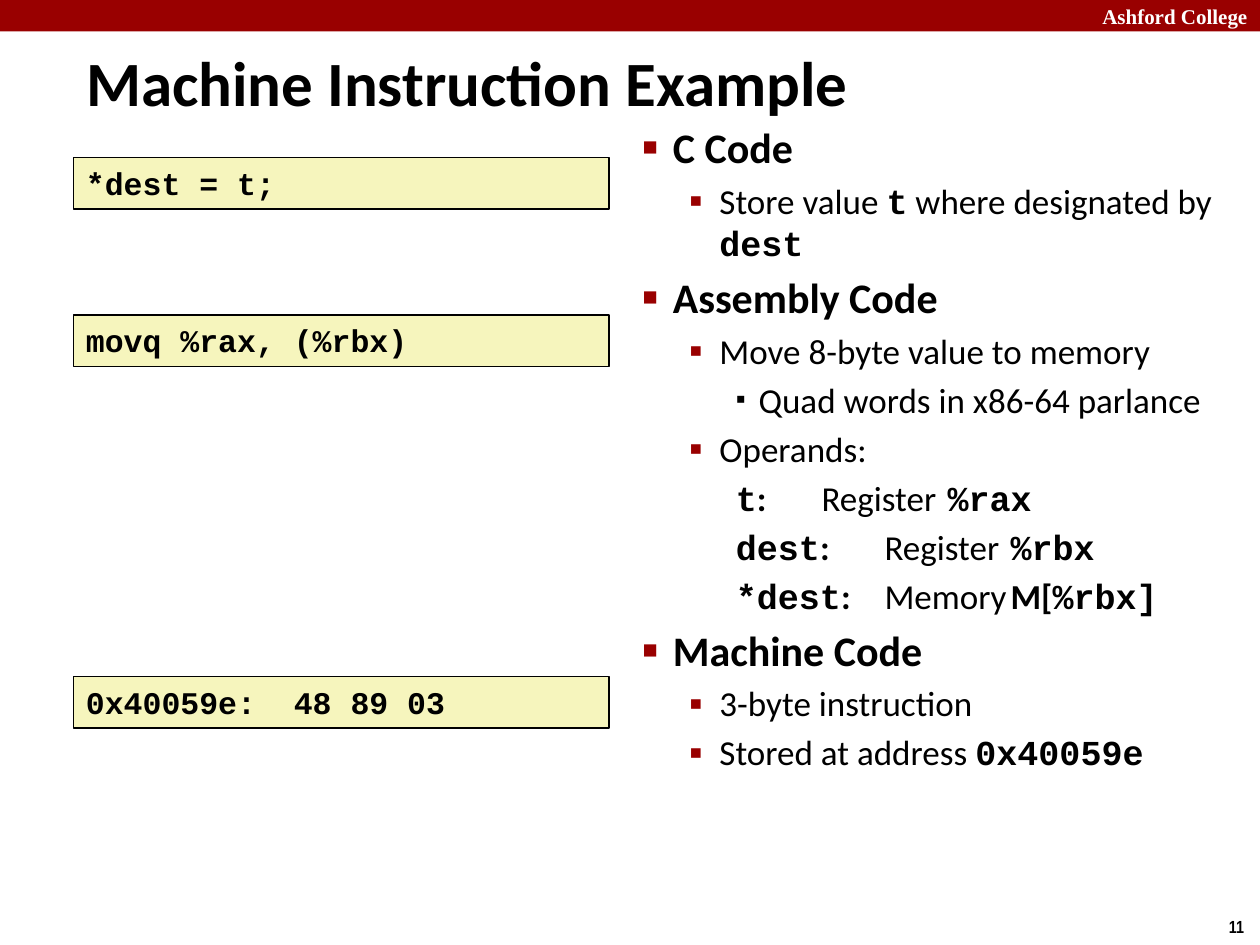
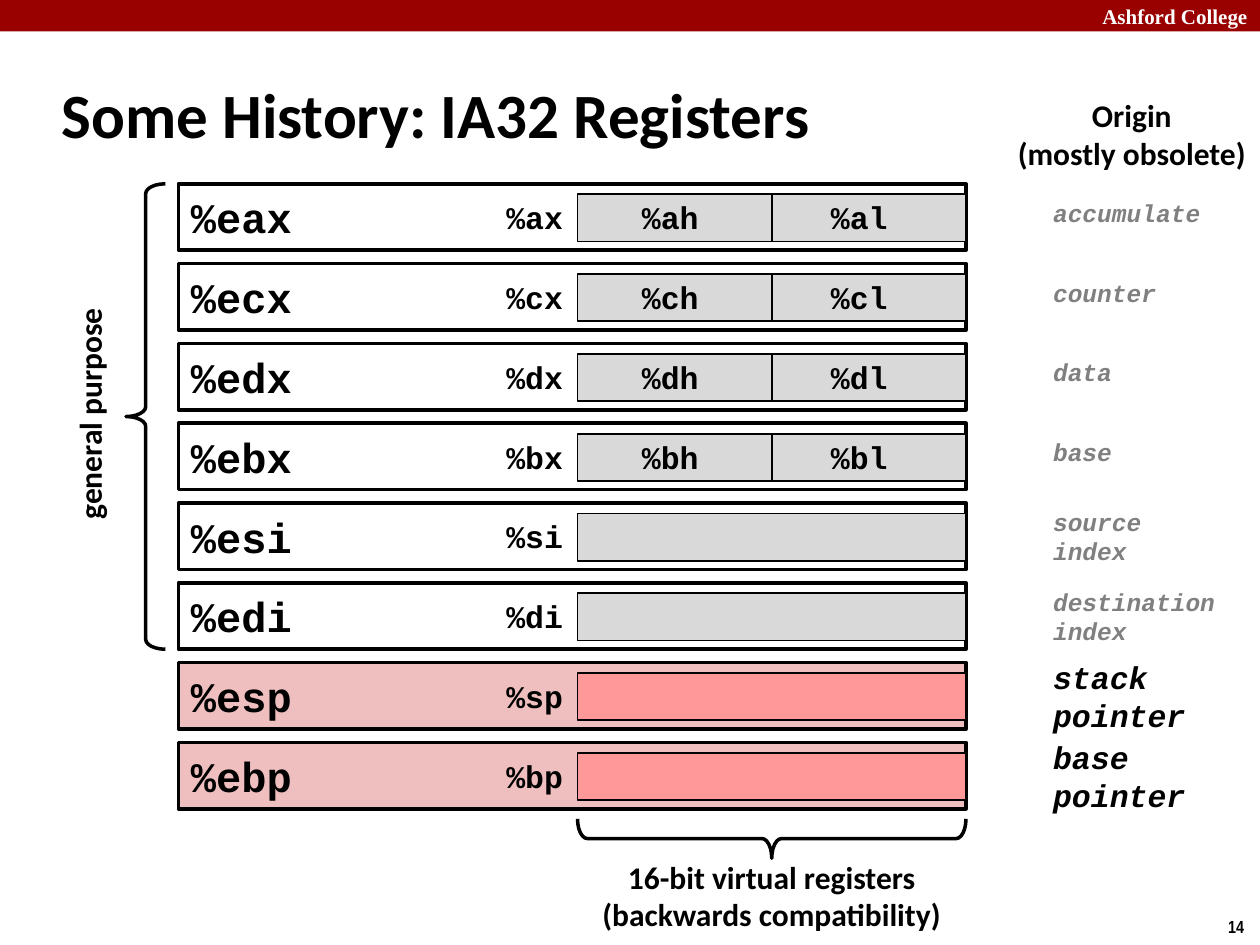
from collections import namedtuple

from lxml.etree import SubElement
from pptx import Presentation
from pptx.dml.color import RGBColor
from pptx.enum.shapes import MSO_CONNECTOR as LINE, MSO_SHAPE as SHAPE
from pptx.enum.text import MSO_ANCHOR as ANCHOR, MSO_AUTO_SIZE as FIT, PP_ALIGN as ALIGN
from pptx.oxml.ns import qn
from pptx.util import Pt

COLORS = {
    "band": "990000", "paper": "FFFFFF", "ink": "000000", "code": "F6F5BD",
    "half": "D9D9D9", "pointer": "EFBFBF", "pointer_half": "FF9999", "faded": "808080",
}
SANS, MONO, SERIF, NARROW = "Calibri", "Courier New", "Times New Roman", "Arial Narrow"
Box = namedtuple("Box", "left top width height")
Bullet = namedtuple("Bullet", "size margin hanging char scale color")
LEVELS = [
    Bullet(24, 17.28, 17.28, "■", 60, "band"),
    Bullet(20, 43.92, 17.28, "▪", 110, "band"),
    Bullet(20, 66.24, 12.96, "▪", 80, "ink"),
]
TAB_STOPS = [126, 198]

CODE_BOXES = [(0, "*dest = t;"), (90, "movq %rax, (%rbx)"), (296.6, "0x40059e:  48 89 03")]
NOTES = [
    (0, True, [("C Code", SANS, True)]),
    (1, True, [("Store value ", SANS, False), ("t", MONO, True),
               (" where designated by ", SANS, False), ("dest", MONO, True)]),
    (0, True, [("Assembly Code", SANS, True)]),
    (1, True, [("Move 8-byte value to memory", SANS, False)]),
    (2, True, [("Quad words in x86-64 parlance", SANS, False)]),
    (1, True, [("Operands:", SANS, False)]),
    (2, False, [("t", MONO, True), (":\t", SANS, True),
                ("Register\t", SANS, False), ("%rax", MONO, True)]),
    (2, False, [("dest", MONO, True), (":", SANS, True),
                ("\tRegister\t", SANS, False), ("%rbx", MONO, True)]),
    (2, False, [("*dest", MONO, True), (":", SANS, True),
                (" \tMemory\t", SANS, False), ("M[", SANS, True), ("%rbx]", MONO, True)]),
    (0, True, [("Machine Code", SANS, True)]),
    (1, True, [("3-byte instruction", SANS, False)]),
    (1, True, [("Stored at address ", SANS, False), ("0x40059e", MONO, True)]),
]
REGISTERS = [
    ("ax", "a", "accumulate"), ("cx", "c", "counter"), ("dx", "d", "data"),
    ("bx", "b", "base"), ("si", None, "source\nindex"), ("di", None, "destination\nindex"),
    ("sp", None, "stack\npointer"), ("bp", None, "base\npointer"),
]
POINTERS = ("sp", "bp")


def rgb(key):
    """Return the named colour."""
    return RGBColor.from_string(COLORS[key])


def place(part, box):
    """Move a shape to a box given in points."""
    part.left, part.top, part.width, part.height = map(Pt, box)


def style(font, size, name, color="ink", bold=True, italic=False):
    """Set the look of a font."""
    font.size, font.name, font.bold, font.italic = Pt(size), name, bold, italic
    font.color.rgb = rgb(color)


def write(frame, text, size, name, color="ink", align=ALIGN.LEFT, anchor=ANCHOR.MIDDLE,
          italic=False):
    """Fill a text frame, one paragraph per line."""
    frame.text = text
    frame.word_wrap, frame.auto_size, frame.vertical_anchor = True, FIT.NONE, anchor
    for paragraph in frame.paragraphs:
        paragraph.alignment = align
        style(paragraph.font, size, name, color, italic=italic)


def add_label(slide, box, text, size, name, **look):
    """Add a text box and return it."""
    label = slide.shapes.add_textbox(*map(Pt, box))
    write(label.text_frame, text, size, name, **look)
    return label


def add_box(slide, box, fill=None, weight=0, kind=SHAPE.RECTANGLE):
    """Add a flat preset shape with an optional fill and outline."""
    shape = slide.shapes.add_shape(kind, *map(Pt, box))
    shape.shadow.inherit = False
    if fill:
        shape.fill.solid()
        shape.fill.fore_color.rgb = rgb(fill)
    else:
        shape.fill.background()
    if weight:
        shape.line.color.rgb = rgb("ink")
        shape.line.width = Pt(weight)
    else:
        shape.line.fill.background()
    return shape


def add_brace(slide, box, rotation):
    """Add a curly brace turned by the given angle."""
    brace = add_box(slide, box, weight=2, kind=SHAPE.RIGHT_BRACE)
    brace.adjustments[0] = 0.25
    brace.rotation = rotation


def start_slide(deck, layout, title, title_box, number):
    """Add a slide with its band, title and number."""
    slide = deck.slides.add_slide(deck.slide_layouts[layout])
    add_box(slide, Box(0, 0, 720, 18), "band")
    add_label(slide, Box(580, 0, 140, 18), "Ashford College", 12, SERIF,
              color="paper", align=ALIGN.RIGHT)
    add_label(slide, Box(684, 520, 34, 19), number, 10, NARROW, align=ALIGN.RIGHT)
    place(slide.shapes.title, title_box)
    write(slide.shapes.title.text_frame, title, 36, SANS)
    return slide


def set_bullet(paragraph, level, marked):
    """Set indent, bullet and tab stops of a list paragraph."""
    props = paragraph._p.get_or_add_pPr()
    props.set("marL", str(Pt(level.margin)))
    props.set("indent", str(-Pt(level.hanging)))
    if marked:
        color = SubElement(props, qn("a:buClr"))
        SubElement(color, qn("a:srgbClr"), val=COLORS[level.color])
        SubElement(props, qn("a:buSzPct"), val=str(level.scale * 1000))
        SubElement(props, qn("a:buChar"), char=level.char)
    else:
        SubElement(props, qn("a:buNone"))
    tabs = SubElement(props, qn("a:tabLst"))
    for stop in TAB_STOPS:
        SubElement(tabs, qn("a:tab"), pos=str(Pt(stop)), algn="l")


def fill_notes(body, box):
    """Fill the body placeholder with the explanation list."""
    place(body, box)
    frame = body.text_frame
    frame.auto_size = FIT.NONE
    for index, (depth, marked, pieces) in enumerate(NOTES):
        paragraph = frame.add_paragraph() if index else frame.paragraphs[0]
        paragraph.level = depth
        set_bullet(paragraph, LEVELS[depth], marked)
        for text, name, bold in pieces:
            run = paragraph.add_run()
            run.text = text
            style(run.font, LEVELS[depth].size, name, bold=bold)


def add_code(slide, box):
    """Stack the code samples down the box."""
    for offset, code in CODE_BOXES:
        sample = add_box(slide, Box(box.left, box.top + offset, box.width, 29.5), "code", 1)
        write(sample.text_frame, code, 18, MONO, anchor=ANCHOR.TOP)


def add_register(slide, box, name, letter):
    """Draw one register with its 16-bit half and byte names."""
    pointer = name in POINTERS
    register = add_box(slide, box, "pointer" if pointer else "paper", 2)
    write(register.text_frame, "%e" + name, 24, MONO)
    half = Box(box.left + 228, box.top + 6, 222, 27)
    add_box(slide, half, "pointer_half" if pointer else "half", 1)
    names = [(203.5, name)]
    if letter:
        middle = half.left + half.width / 2
        divider = slide.shapes.add_connector(
            LINE.STRAIGHT, Pt(middle), Pt(half.top), Pt(middle), Pt(half.top + half.height))
        divider.line.color.rgb = rgb("ink")
        divider.line.width = Pt(1)
        SubElement(divider._element.spPr, qn("a:effectLst"))
        names += [(281, letter + "h"), (389, letter + "l")]
    for center, part in names:
        add_label(slide, Box(box.left + center - 30, box.top, 60, box.height), "%" + part,
                  18, MONO, align=ALIGN.CENTER)


def add_origin(slide, box, name, origin):
    """Write the historic meaning of a register beside its row."""
    look = (18, MONO) if name in POINTERS else (14, MONO)
    color = "ink" if name in POINTERS else "faded"
    lift = 0 if "\n" in origin else 2.5
    add_label(slide, Box(box.left, box.top - 7 - lift, box.width, box.height + 14), origin,
              *look, color=color, italic=True)


def add_registers(slide, box):
    """Draw the register rows, their origins, braces and captions."""
    pitch, height = 45.6, 38
    for row, (name, letter, origin) in enumerate(REGISTERS):
        top = box.top + row * pitch
        add_register(slide, Box(box.left, top, box.width, height), name, letter)
        add_origin(slide, Box(box.left + 492.7, top, 124, height), name, origin)
    general = 5 * pitch + height
    add_brace(slide, Box(box.left - 30, box.top, 22.5, general), 180)
    purpose = add_label(slide, Box(box.left - 126, box.top + 117, 150, 29), "general purpose",
                        18, SANS, align=ALIGN.CENTER)
    purpose.rotation = 270
    bottom = box.top + 7 * pitch + height
    add_brace(slide, Box(box.left + 327.75, bottom - 94, 22.5, 222), 90)
    for left, top, caption in [
        (226, bottom + 24, "16-bit virtual registers\n(backwards compatibility)"),
        (432, box.top - 54, "Origin\n(mostly obsolete)"),
    ]:
        add_label(slide, Box(box.left + left, top, 226 if left < 300 else 225.5, 51),
                  caption, 18, SANS, align=ALIGN.CENTER)


def build_instruction(deck):
    """Build the machine instruction slide."""
    slide = start_slide(deck, 1, "Machine Instruction Example", Box(42, 24, 572, 45), "11")
    fill_notes(slide.placeholders[1], Box(360, 66, 360, 456))
    add_code(slide, Box(42, 90, 306, 326))


def build_history(deck):
    """Build the register history slide."""
    slide = start_slide(deck, 5, "Some History: IA32 Registers", Box(28, 35, 598, 60), "14")
    add_registers(slide, Box(102, 105, 450, 357))


def main():
    """Build and save the deck."""
    deck = Presentation()
    deck.slide_width, deck.slide_height = Pt(720), Pt(540)
    build_instruction(deck)
    build_history(deck)
    deck.save("out.pptx")


if __name__ == "__main__":
    main()
